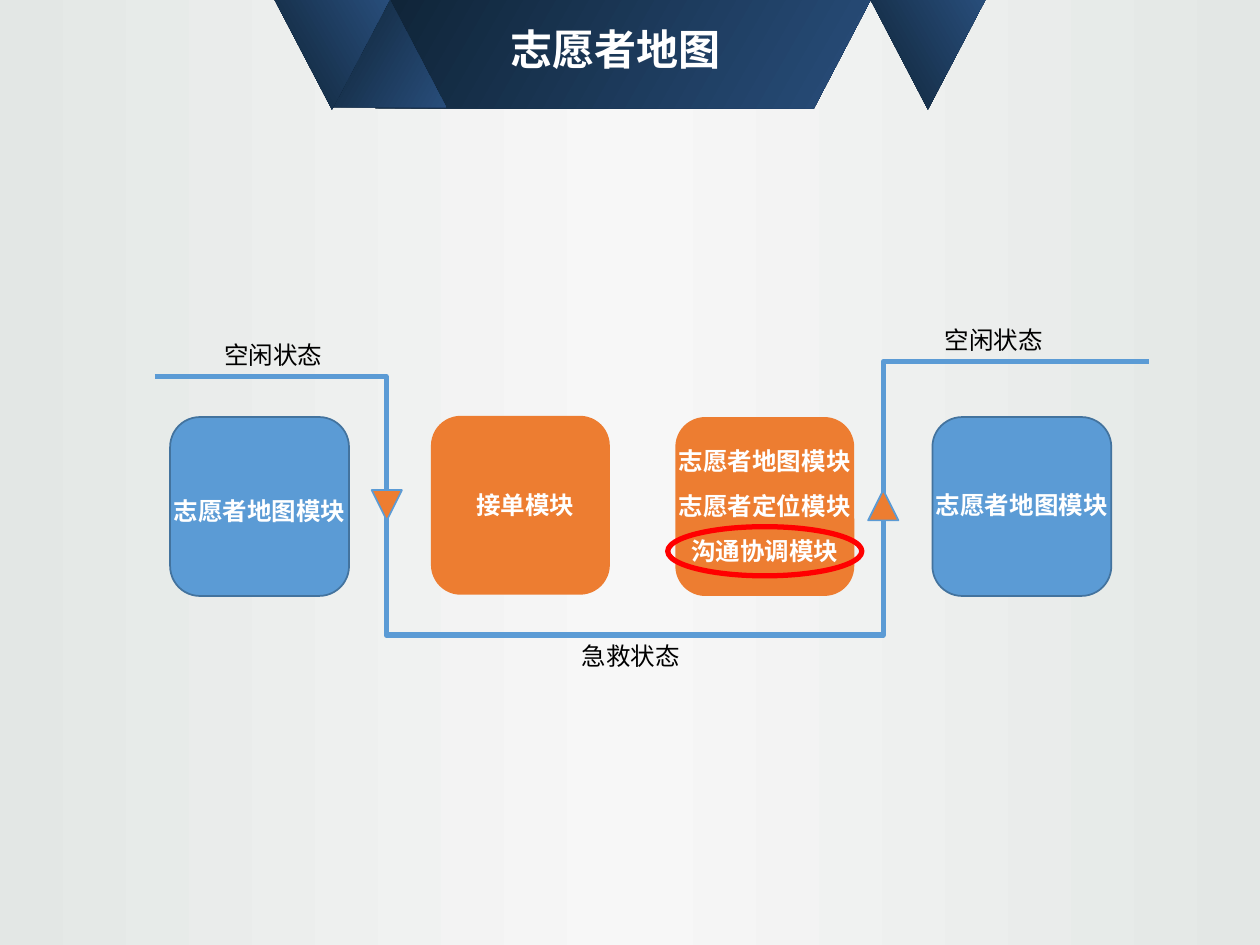
from copy import deepcopy
from dataclasses import dataclass
from typing import Optional

from lxml.etree import SubElement
from pptx import Presentation
from pptx.dml.color import RGBColor
from pptx.dml.fill import FillFormat
from pptx.enum.shapes import MSO_CONNECTOR as Link, MSO_SHAPE as Preset
from pptx.enum.text import MSO_ANCHOR as Anchor, PP_ALIGN as Align
from pptx.oxml.ns import qn
from pptx.shapes.autoshape import Shape
from pptx.slide import Slide
from pptx.util import Inches, Pt

COLORS = {
    "navy": "0F2437", "steel": "284D7A", "edge": "E3E7E5", "middle": "F7F7F7",
    "blue": "5B9BD5", "outline": "43739E", "orange": "ED7D31",
    "red": "FF0000", "white": "FFFFFF", "black": "000000",
}
BANNER_ANGLE = 330
BANNER_HEIGHT = 0.87


@dataclass(frozen=True)
class Figure:
    preset: Preset
    left: float
    top: float
    width: float
    height: float
    fill: Optional[str] = None
    line: Optional[str] = None
    weight: float = 1
    rotation: float = 0


@dataclass(frozen=True)
class Label:
    lines: tuple[str, ...]
    left: float
    top: float
    width: float
    height: float = 0.34
    color: str = "white"
    bold: bool = True
    align: Align = Align.CENTER
    size: float = 14
    spacing: float = 1.0
    anchor: Anchor = Anchor.TOP


@dataclass(frozen=True)
class Route:
    start: tuple[float, float]
    end: tuple[float, float]


def module(left: float, top: float, fill: str, line: Optional[str] = None) -> Figure:
    """Describe a square module tile."""
    return Figure(Preset.ROUNDED_RECTANGLE, left, top, 1.42, 1.42, fill, line)


def marker(left: float, rotation: float) -> Figure:
    """Describe a direction marker on a route."""
    return Figure(Preset.ISOSCELES_TRIANGLE, left, 3.89, 0.24, 0.24,
                  "orange", "blue", rotation=rotation)


def state(text: str, left: float, top: float, width: float) -> Label:
    """Describe a plain state caption."""
    return Label((text,), left, top, width, color="black", bold=False, align=Align.LEFT)


ROUTES = [Route((1.23, 2.99), (4.9, 5.04)), Route((4.9, 5.04), (9.12, 2.87))]
FIGURES = [
    module(1.35, 3.31, "blue", "outline"),
    module(3.42, 3.3, "orange"),
    module(5.36, 3.31, "orange"),
    module(7.4, 3.31, "blue", "outline"),
    marker(2.95, 180),
    marker(6.89, 0),
]
HIGHLIGHT = Figure(Preset.OVAL, 5.3, 4.18, 1.54, 0.39, line="red", weight=3)
LABELS = [
    Label(("志愿者地图",), 3.56, 0.07, 2.65, 0.68, size=24, spacing=0.9, anchor=Anchor.MIDDLE),
    state("空闲状态", 1.68, 2.65, 1.28),
    state("急救状态", 4.52, 5.04, 1.11),
    state("空闲状态", 7.4, 2.53, 1.28),
    Label(("接单模块",), 3.68, 3.84, 1.95, align=Align.LEFT),
    Label(("志愿者地图模块", "志愿者定位模块", "沟通协调模块"), 5.08, 3.49, 1.98, 1.29),
    Label(("志愿者地图模块",), 1.07, 3.89, 1.98),
    Label(("志愿者地图模块",), 7.12, 3.84, 1.98),
]


def rgb(name: str) -> RGBColor:
    """Look up a named colour."""
    return RGBColor.from_string(COLORS[name])


def apply_gradient(fill: FillFormat, first: str, last: str, angle: float) -> None:
    """Fill with an even gradient between two colours."""
    fill.gradient()
    fill.gradient_angle = angle
    for stop, name, position in zip(fill.gradient_stops, (first, last), (0, 1)):
        stop.color.rgb = rgb(name)
        stop.position = position


def paint_background(page: Slide) -> None:
    """Paint the page light in the middle and darker at both sides."""
    fill = page.background.fill
    apply_gradient(fill, "edge", "edge", 180)
    stops = next(page.background._cSld.iter(qn("a:gsLst")))
    stops.insert(1, deepcopy(stops[0]))
    center = fill.gradient_stops[1]
    center.position = 0.5
    center.color.rgb = rgb("middle")


def finish_banner(shape: Shape) -> None:
    """Give a banner piece its gradient and remove its line."""
    shape.shadow.inherit = False
    apply_gradient(shape.fill, "navy", "steel", BANNER_ANGLE)
    shape.line.fill.background()


def draw_banner(page: Slide) -> None:
    """Draw the folded ribbon at the top."""
    builder = page.shapes.build_freeform(Inches(2.98), 0)
    corners = [(6.91, 0), (6.46, 0.86), (2.98, 0.86)]
    builder.add_line_segments([(Inches(x), Inches(y)) for x, y in corners], close=True)
    finish_banner(builder.convert_to_shape())
    for left, top, flipped in ((2.63, -0.02, False), (2.18, 0, True), (6.91, 0, True)):
        fold = page.shapes.add_shape(Preset.ISOSCELES_TRIANGLE, Inches(left), Inches(top),
                                     Inches(0.91), Inches(BANNER_HEIGHT))
        finish_banner(fold)
        if flipped:
            fold._element.spPr.find(qn("a:xfrm")).set("flipV", "1")


def draw_route(page: Slide, route: Route) -> None:
    """Draw a bent line between two points."""
    line = page.shapes.add_connector(Link.ELBOW, *map(Inches, route.start + route.end))
    line.line.color.rgb = rgb("blue")
    line.line.width = Pt(3)
    SubElement(line._element.spPr, qn("a:effectLst"))


def draw_figure(page: Slide, figure: Figure) -> None:
    """Draw a preset shape with its fill and line."""
    frame = map(Inches, (figure.left, figure.top, figure.width, figure.height))
    shape = page.shapes.add_shape(figure.preset, *frame)
    shape.shadow.inherit = False
    shape.rotation = figure.rotation
    if figure.fill:
        shape.fill.solid()
        shape.fill.fore_color.rgb = rgb(figure.fill)
    else:
        shape.fill.background()
    if figure.line:
        shape.line.color.rgb = rgb(figure.line)
        shape.line.width = Pt(figure.weight)
    else:
        shape.line.fill.background()


def draw_label(page: Slide, label: Label) -> None:
    """Write the lines of a label in a text box."""
    frame = map(Inches, (label.left, label.top, label.width, label.height))
    text_frame = page.shapes.add_textbox(*frame).text_frame
    text_frame.word_wrap = True
    text_frame.vertical_anchor = label.anchor
    text_frame.text = "\n".join(label.lines)
    for index, para in enumerate(text_frame.paragraphs):
        para.alignment = label.align
        para.line_spacing = label.spacing
        para.space_before = Pt(9 if index else 0)
        for span in para.runs:
            span.font.name = "Arial"
            span.font.size = Pt(label.size)
            span.font.bold = label.bold
            span.font.color.rgb = rgb(label.color)


def main() -> None:
    """Build and save the volunteer map slide."""
    deck = Presentation()
    deck.slide_width, deck.slide_height = Inches(10), Inches(7.5)
    page = deck.slides.add_slide(deck.slide_layouts[6])
    paint_background(page)
    draw_banner(page)
    for route in ROUTES:
        draw_route(page, route)
    for figure in FIGURES:
        draw_figure(page, figure)
    for label in LABELS:
        draw_label(page, label)
    draw_figure(page, HIGHLIGHT)
    deck.save("out.pptx")


if __name__ == "__main__":
    main()
